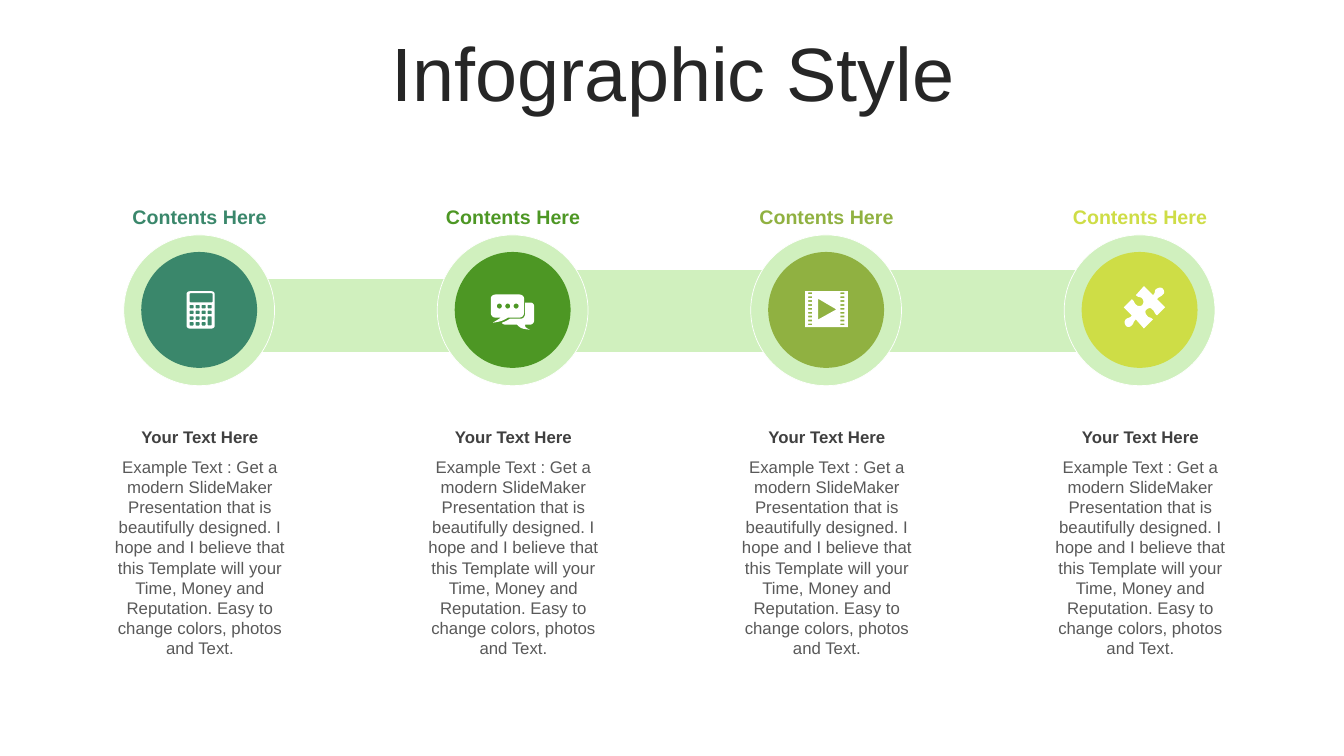
from math import cos, pi, sin

from pptx import Presentation
from pptx.dml.color import RGBColor
from pptx.enum.shapes import MSO_SHAPE
from pptx.enum.text import MSO_ANCHOR, MSO_AUTO_SIZE, PP_ALIGN
from pptx.util import Cm, Pt

RECT, OVAL = MSO_SHAPE.RECTANGLE, MSO_SHAPE.OVAL
CENTER, MIDDLE = PP_ALIGN.CENTER, MSO_ANCHOR.MIDDLE
FIXED, GROW = MSO_AUTO_SIZE.NONE, MSO_AUTO_SIZE.SHAPE_TO_FIT_TEXT

PITCH = 7.9  # cm between columns
ICON_UNIT = Cm(2.54) / 100  # icons are drawn in hundredths of an inch
COLORS = ["3A876B", "4D9724", "90B141", "CEDD46"]
BARS = [(12.93, 6.78, 6.88, 2.11), (19.51, 6.78, 9.25, 2.11), (5.03, 7.01, 8.46, 1.88)]
BODY = ("Example Text : Get a modern SlideMaker Presentation that is beautifully "
        "designed. I hope and I believe that this Template will your Time, Money "
        "and Reputation. Easy to change colors, photos and Text.")


def rgb(color):
    return RGBColor.from_string(color)


def rounded(x, y, w, h, radius):
    """Return the outline of a rounded rectangle as points."""
    corners = [(x + w - radius, y + h - radius), (x + radius, y + h - radius),
               (x + radius, y + radius), (x + w - radius, y + radius)]
    return [(cx + radius * cos(a), cy + radius * sin(a))
            for i, (cx, cy) in enumerate(corners)
            for a in ((i + step / 6) * pi / 2 for step in range(7))]


def box(x, y, w, h):
    return [(x, y), (x + w, y), (x + w, y + h), (x, y + h)]


def curved(*segments):
    """Turn line ends (2 numbers) and Bezier segments (6 numbers) into points."""
    points = []
    for seg in segments:
        if len(seg) == 2:
            points.append(seg)
            continue
        x0, y0 = points[-1]
        x1, y1, x2, y2, x3, y3 = seg
        for step in range(1, 9):
            t = step / 8
            u = 1 - t
            a, b, c, d = u**3, 3 * u * u * t, 3 * u * t * t, t**3
            points.append((a * x0 + b * x1 + c * x2 + d * x3,
                           a * y0 + b * y1 + c * y2 + d * y3))
    return points


def calculator():
    keys = [(col, row) for row in range(4) for col in range(4) if (col, row) != (3, 3)]
    return [rounded(0, 0, 28, 37, 3), rounded(3, 2, 23, 9, 1)] + [
        rounded(3 + 6 * col, 13.5 + 5.65 * row, 4, 9.2 if (col, row) == (3, 2) else 3.6, 0.8)
        for col, row in keys]


def chat():
    front = curved((5, 0), (28, 0), (31, 0, 33, 2, 33, 4), (33, 18),
                   (33, 21, 31, 23, 28, 23), (17, 23), (12, 26, 10, 27, 2, 28),
                   (7, 25, 7, 25, 10, 23), (5, 23), (2, 23, 0, 21, 0, 18), (0, 4),
                   (0, 2, 2, 0, 5, 0))
    back = curved((34, 8), (39, 8), (41, 8, 43, 9, 43, 12), (43, 26),
                  (43, 28, 41, 30, 39, 30), (34, 30), (34, 32, 34, 33, 39, 35),
                  (31, 34, 30, 34, 26, 30), (15, 30), (13, 30, 11, 29, 11, 28),
                  (14, 27, 16, 26, 19, 24), (30, 24), (32, 24, 34, 22, 34, 19))
    return [front, back] + [rounded(6 + 8.3 * i, 9, 5, 5, 2.5) for i in range(3)]


def film():
    holes = [box(x, 1.2 + 3.85 * row, 4, 1.7) for row in range(9) for x in (3, 35)]
    return [box(0, 0, 42.5, 35.5), [(13, 7.5), (13, 28), (31, 18)]] + holes


def puzzle():
    return [curved((39, 3), (40, 4, 41, 7, 39, 8), (37, 11, 35, 10, 33, 13), (41, 21),
                   (33, 29), (30, 27, 31, 25, 28, 23), (27, 21, 24, 22, 23, 23),
                   (21, 24, 21, 27, 23, 29), (25, 32, 26, 30, 29, 33), (20, 42),
                   (12, 33), (9, 36, 10, 37, 8, 39), (6, 41, 3, 41, 2, 39),
                   (1, 38, 0, 35, 2, 33), (4, 31, 6, 32, 8, 29), (0, 21), (8, 13),
                   (11, 15, 10, 17, 13, 19), (14, 20, 17, 20, 18, 19),
                   (20, 17, 20, 14, 18, 12), (16, 10, 15, 12, 12, 9), (20, 0), (29, 9),
                   (32, 6, 30, 5, 32, 3), (35, 1, 38, 1, 39, 3))]


ICONS = [(4.7, 7.34, calculator()), (12.37, 7.42, chat()),
         (20.29, 7.34, film()), (28.32, 7.21, puzzle())]


class Deck:
    """Holds the style and the current slide."""
    font = "Arial"
    pale, white = "D0F0BE", "FFFFFF"

    def __init__(self, slide):
        self.slide = slide

    def set_text(self, sp, text, size, color, bold, fit):
        tf = sp.text_frame
        tf.word_wrap = True
        tf.auto_size = fit
        tf.text = text
        p = tf.paragraphs[0]
        p.alignment = CENTER
        font = p.runs[0].font
        font.name, font.size, font.bold = self.font, Pt(size), bold
        font.color.rgb = rgb(color)
        return p

    def title(self, text, x, y, w, h):
        sp = self.slide.shapes.title
        sp.left, sp.top, sp.width, sp.height = Cm(x), Cm(y), Cm(w), Cm(h)
        p = self.set_text(sp, text, 54, "262626", False, FIXED)
        p.line_spacing = 0.9
        sp.text_frame.vertical_anchor = MIDDLE

    def text(self, text, x, y, w, h, size, color, bold=False):
        sp = self.slide.shapes.add_textbox(Cm(x), Cm(y), Cm(w), Cm(h))
        self.set_text(sp, text, size, color, bold, GROW)

    def paint(self, sp, fill, outlined):
        sp.shadow.inherit = False
        sp.fill.solid()
        sp.fill.fore_color.rgb = rgb(fill)
        if outlined:
            sp.line.color.rgb = rgb(self.white)
            sp.line.width = Pt(0.5)
        else:
            sp.line.fill.background()

    def shape(self, kind, x, y, w, h, fill, outlined=False):
        sp = self.slide.shapes.add_shape(kind, Cm(x), Cm(y), Cm(w), Cm(h))
        self.paint(sp, fill, outlined)

    def icon(self, x, y, outlines):
        """Draw outlines as one freeform; inner outlines become holes."""
        scaled = [[(px * ICON_UNIT, py * ICON_UNIT) for px, py in points]
                  for points in outlines]
        builder = self.slide.shapes.build_freeform(*scaled[0][0])
        for i, points in enumerate(scaled):
            if i:
                builder.move_to(*points[0])
            builder.add_line_segments(points[1:], close=True)
        self.paint(builder.convert_to_shape(Cm(x), Cm(y)), self.white, False)


def main():
    prs = Presentation()
    prs.slide_width, prs.slide_height = Cm(33.87), Cm(19.05)
    deck = Deck(prs.slides.add_slide(prs.slide_layouts[5]))
    deck.title("Infographic Style", 0.89, 0.94, 32.16, 2.01)
    for bar in BARS:
        deck.shape(RECT, *bar, deck.pale, outlined=True)
    for i, (color, icon) in enumerate(zip(COLORS, ICONS)):
        dx = i * PITCH
        deck.shape(OVAL, 3.12 + dx, 5.92, 3.8, 3.8, deck.pale, outlined=True)
        deck.shape(OVAL, 3.56 + dx, 6.35, 2.92, 2.92, color)
        deck.icon(*icon)
        deck.text("Contents Here", 2.16 + dx, 5.05, 5.74, 0.86, 14, color, bold=True)
        deck.text("Your Text Here", 2.34 + dx, 10.62, 5.4, 0.76, 12, "404040", bold=True)
        deck.text(BODY, 2.34 + dx, 11.38, 5.4, 5.38, 12, "595959")
    prs.save("out.pptx")


if __name__ == "__main__":
    main()
